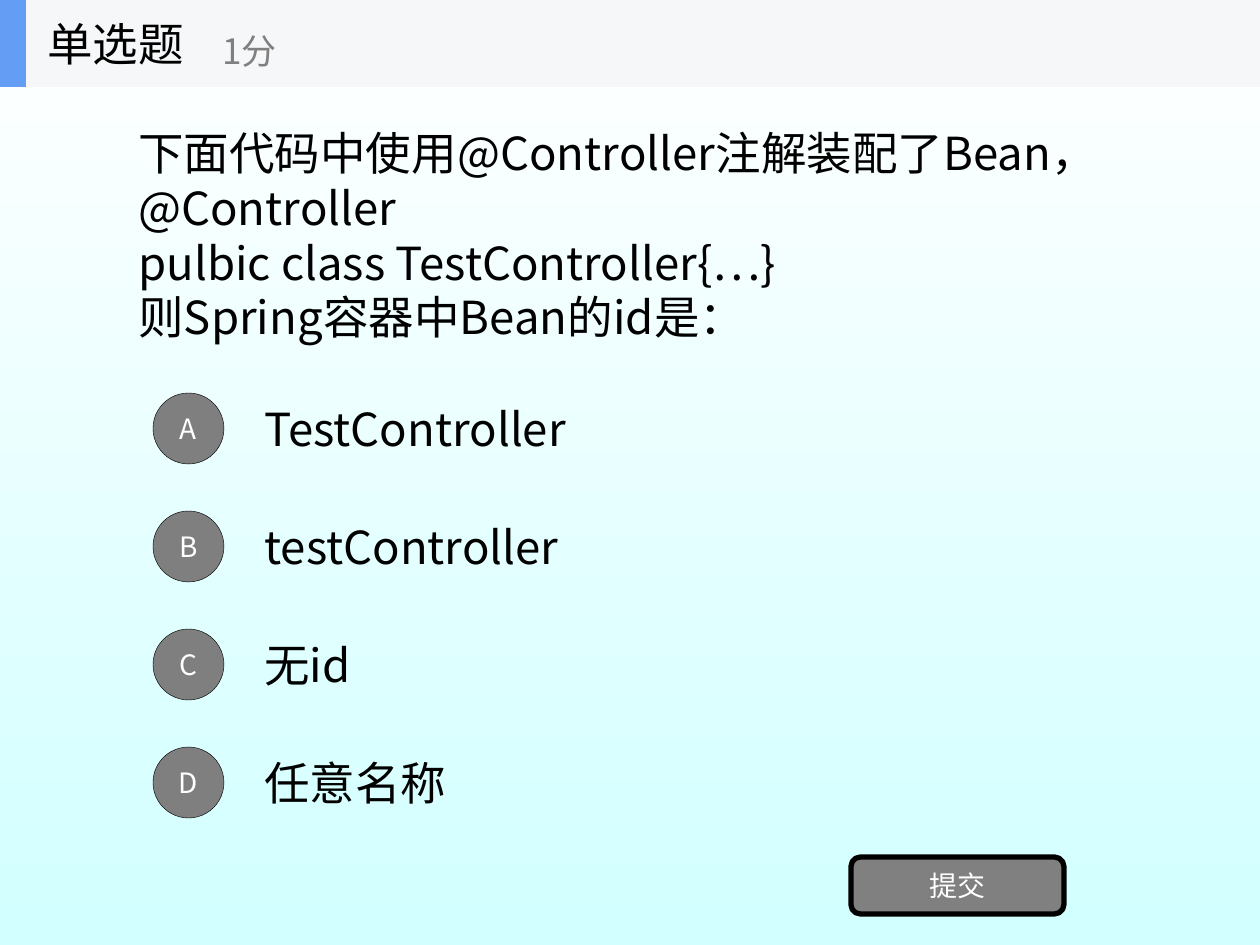
"""Build a single-choice quiz slide about Spring bean ids."""
import pptx
import pptx.dml.color
import pptx.enum.shapes
import pptx.enum.text
import pptx.oxml.ns
import pptx.util
from lxml import etree

SCALE = 914400 / 126
THEME = {
    "font": "Noto Sans CJK SC",
    "body": 26, "points": 20, "label": 16,
    "ink": "000000", "muted": "808080", "light": "FFFFFF",
    "badge": "7F7F7F", "bar": "F6F7F8", "accent": "639EF4",
    "sky": "FFFFFF", "water": "D2FFFF",
}
SHAPE = pptx.enum.shapes.MSO_SHAPE
ALIGN = pptx.enum.text.PP_ALIGN


def write(holder, lines, size, color, align=ALIGN.LEFT, wrap=True):
    """Fill a shape's text frame, one paragraph per line."""
    frame = holder.text_frame
    frame.word_wrap = wrap
    frame.vertical_anchor = pptx.enum.text.MSO_ANCHOR.MIDDLE
    frame.text = "\n".join(lines)
    for paragraph in frame.paragraphs:
        paragraph.alignment = align
        font = paragraph.font
        font.name = THEME["font"]
        font.size = pptx.util.Pt(THEME[size])
        font.color.rgb = pptx.dml.color.RGBColor.from_string(THEME[color])
        defaults = paragraph._p.pPr.find(pptx.oxml.ns.qn("a:defRPr"))
        east_asian = etree.SubElement(defaults, pptx.oxml.ns.qn("a:ea"))
        east_asian.set("typeface", THEME["font"])


def draw(shapes, kind, box, fill, line_width=0):
    """Add a flat filled shape, outlined when line_width is given."""
    figure = shapes.add_shape(kind, *(round(n * SCALE) for n in box))
    figure.shadow.inherit = False
    figure.fill.solid()
    figure.fill.fore_color.rgb = pptx.dml.color.RGBColor.from_string(THEME[fill])
    if line_width:
        figure.line.width = pptx.util.Pt(line_width)
        figure.line.color.rgb = pptx.dml.color.RGBColor.from_string(THEME["ink"])
    else:
        figure.line.fill.background()
    return figure


deck = pptx.Presentation()
deck.slide_width = round(1260 * SCALE)
deck.slide_height = round(945 * SCALE)
slide = deck.slides.add_slide(deck.slide_layouts[6])

backdrop = slide.background.fill
backdrop.gradient()
backdrop.gradient_angle = 270
for stop, position, color in zip(backdrop.gradient_stops, (0, 1), ("sky", "water")):
    stop.position = position
    stop.color.rgb = pptx.dml.color.RGBColor.from_string(THEME[color])

question = slide.shapes.add_textbox(*(round(n * SCALE) for n in (126, 87, 1008, 295)))
write(question, [
    "下面代码中使用@Controller注解装配了Bean，@Controller",
    "pulbic class TestController{…}",
    "则Spring容器中Bean的id是：",
], "body", "ink")

answers = ["TestController", "testController", "无id", "任意名称"]
for row, (letter, answer) in enumerate(zip("ABCD", answers)):
    top = 384 + 118 * row
    option = slide.shapes.add_textbox(*(round(n * SCALE) for n in (252, top, 882, 88)))
    write(option, [answer], "body", "ink")
    badge = draw(slide.shapes, SHAPE.OVAL, (153, top + 9, 71, 71), "badge", 0.25)
    write(badge, [letter], "label", "light", ALIGN.CENTER)

submit = draw(slide.shapes, SHAPE.ROUNDED_RECTANGLE, (851, 857, 213, 57), "muted", 3)
write(submit, ["提交"], "label", "light", ALIGN.CENTER)

header = slide.shapes.add_group_shape()
draw(header.shapes, SHAPE.RECTANGLE, (0, 0, 1260, 87), "bar")
draw(header.shapes, SHAPE.RECTANGLE, (0, 0, 26, 87), "accent")
for caption, box, size, color in [
    ("单选题", (35, 0, 262, 87), "body", "ink"),
    ("1分", (210, 15, 315, 71), "points", "muted"),
]:
    heading = header.shapes.add_textbox(*(round(n * SCALE) for n in box))
    write(heading, [caption], size, color, wrap=False)

deck.save("out.pptx")
